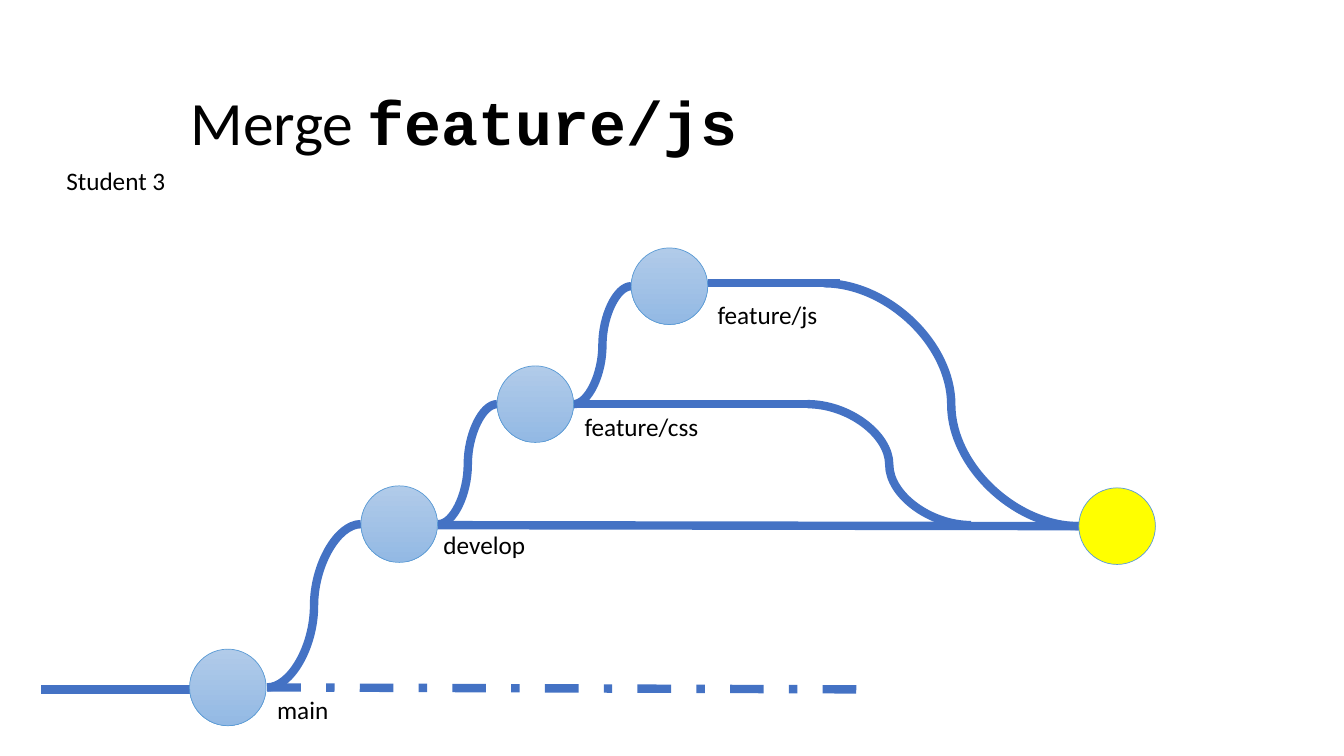
from pptx import Presentation
from pptx.dml.color import RGBColor
from pptx.enum.dml import MSO_LINE
from pptx.enum.shapes import MSO_CONNECTOR as LINK, MSO_SHAPE
from pptx.enum.text import MSO_ANCHOR
from pptx.oxml.ns import qn
from pptx.util import Pt
from lxml.etree import SubElement

PX = 9144  # 100 px to the inch
BRANCH_BLUE = RGBColor(0x44, 0x72, 0xC4)
OUTLINE_BLUE = RGBColor(0x5B, 0x9B, 0xD5)
COMMIT_TOP = RGBColor(0xB1, 0xCB, 0xE9)
COMMIT_BOTTOM = RGBColor(0x93, 0xB9, 0xE4)
MERGE_YELLOW = RGBColor(0xFF, 0xFF, 0x00)
BLACK = RGBColor(0, 0, 0)
COMMIT_SIZE = 76

deck = Presentation()
deck.slide_width, deck.slide_height = 1333 * PX, 750 * PX
page = deck.slides.add_slide(deck.slide_layouts[6])


def add_branch(kind, *ends):
    branch = page.shapes.add_connector(kind, *(end * PX for end in ends))
    branch.line.color.rgb = BRANCH_BLUE
    branch.line.width = Pt(6)
    SubElement(branch._element.spPr, qn("a:effectLst"))
    return branch


def add_text(left, top, width, height, spans, size):
    box = page.shapes.add_textbox(left * PX, top * PX, width * PX, height * PX)
    box.text_frame.word_wrap = True
    para = box.text_frame.paragraphs[0]
    for text, font, bold in spans:
        span = para.add_run()
        span.text = text
        span.font.name = font
        span.font.bold = bold
        span.font.size = Pt(size)
        span.font.color.rgb = BLACK
    return box


# Straight branches: main before and after the commit, develop, css, js
add_branch(LINK.STRAIGHT, 41, 684, 188, 684)
future_main = add_branch(LINK.STRAIGHT, 265, 682, 874, 684)
future_main.line.dash_style = MSO_LINE.DASH_DOT
add_branch(LINK.STRAIGHT, 434, 521, 1074, 522)
add_branch(LINK.STRAIGHT, 569, 401, 801, 401)
add_branch(LINK.STRAIGHT, 702, 281, 833, 281)

# Curves: three forks upwards, then two merges downwards
for ends in [
    (265, 682, 358, 520),
    (435, 520, 493, 401),
    (569, 401, 626, 284),
    (801, 401, 963, 521),
    (817, 281, 1070, 522),
]:
    add_branch(LINK.CURVE, *ends)

# Commits, the last one being the merge
for left, top, is_merge in [
    (188, 644, False),
    (358, 482, False),
    (493, 363, False),
    (626, 246, False),
    (1070, 484, True),
]:
    commit = page.shapes.add_shape(
        MSO_SHAPE.OVAL, left * PX, top * PX, COMMIT_SIZE * PX, COMMIT_SIZE * PX)
    commit.shadow.inherit = False
    commit.line.color.rgb = OUTLINE_BLUE
    commit.line.width = Pt(0.5)
    if is_merge:
        commit.fill.solid()
        commit.fill.fore_color.rgb = MERGE_YELLOW
    else:
        commit.fill.gradient()
        commit.fill.gradient_angle = 270
        for stop, color in zip(commit.fill.gradient_stops, (COMMIT_TOP, COMMIT_BOTTOM)):
            stop.color.rgb = color

# Title
title = add_text(179, 52, 1098, 145,
                 [("Merge ", "Calibri", False), ("feature/js", "Courier New", True)], 44)
title.text_frame.vertical_anchor = MSO_ANCHOR.MIDDLE
title.text_frame.paragraphs[0].line_spacing = 0.9

# Labels
for left, top, width, label in [
    (56, 159, 123, "Student 3"),
    (265, 684, 111, "main"),
    (430, 520, 111, "develop"),
    (570, 403, 150, "feature/css"),
    (702, 292, 150, "feature/js"),
]:
    add_text(left, top, width, 40, [(label, "Calibri", False)], 18)

deck.save("out.pptx")
